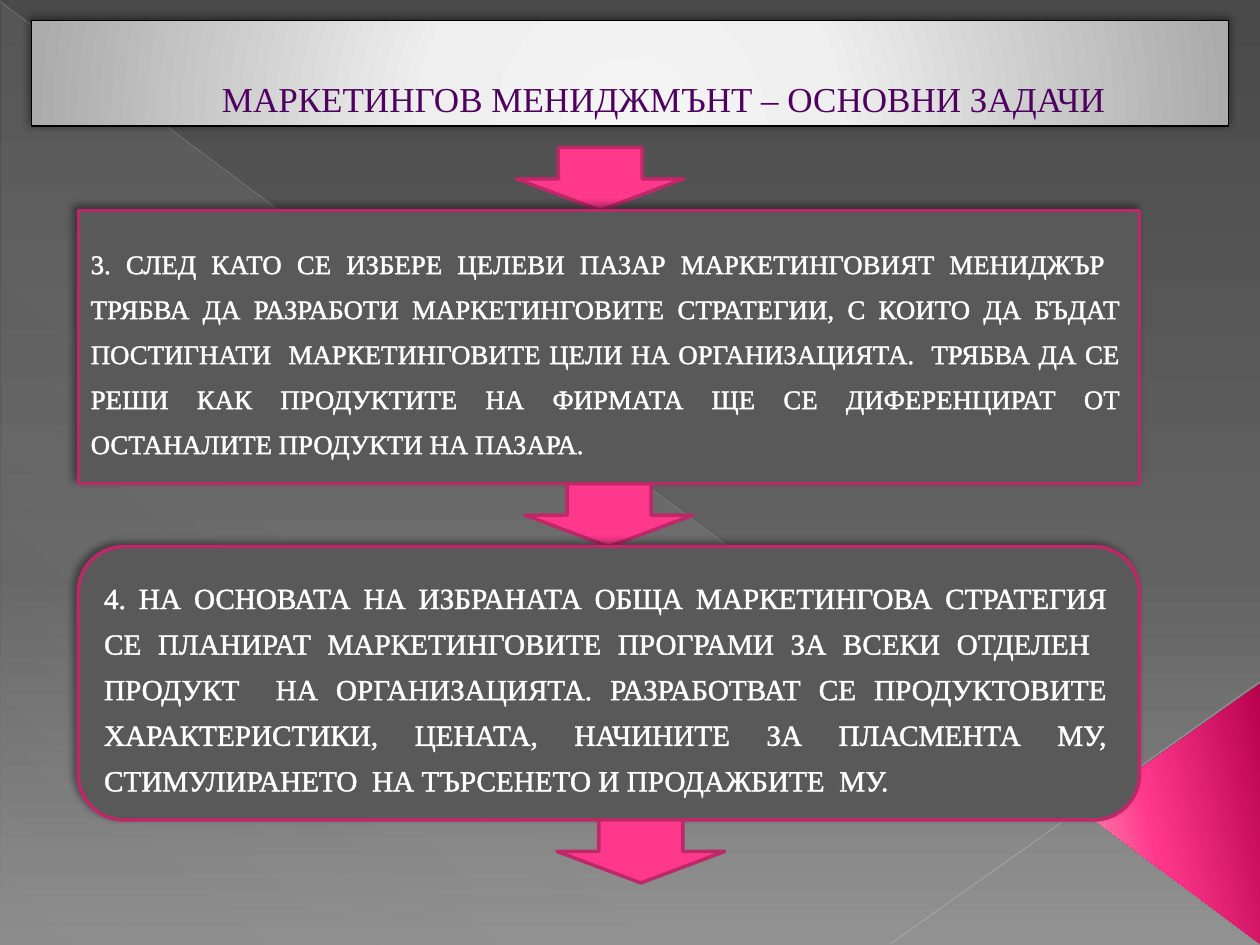
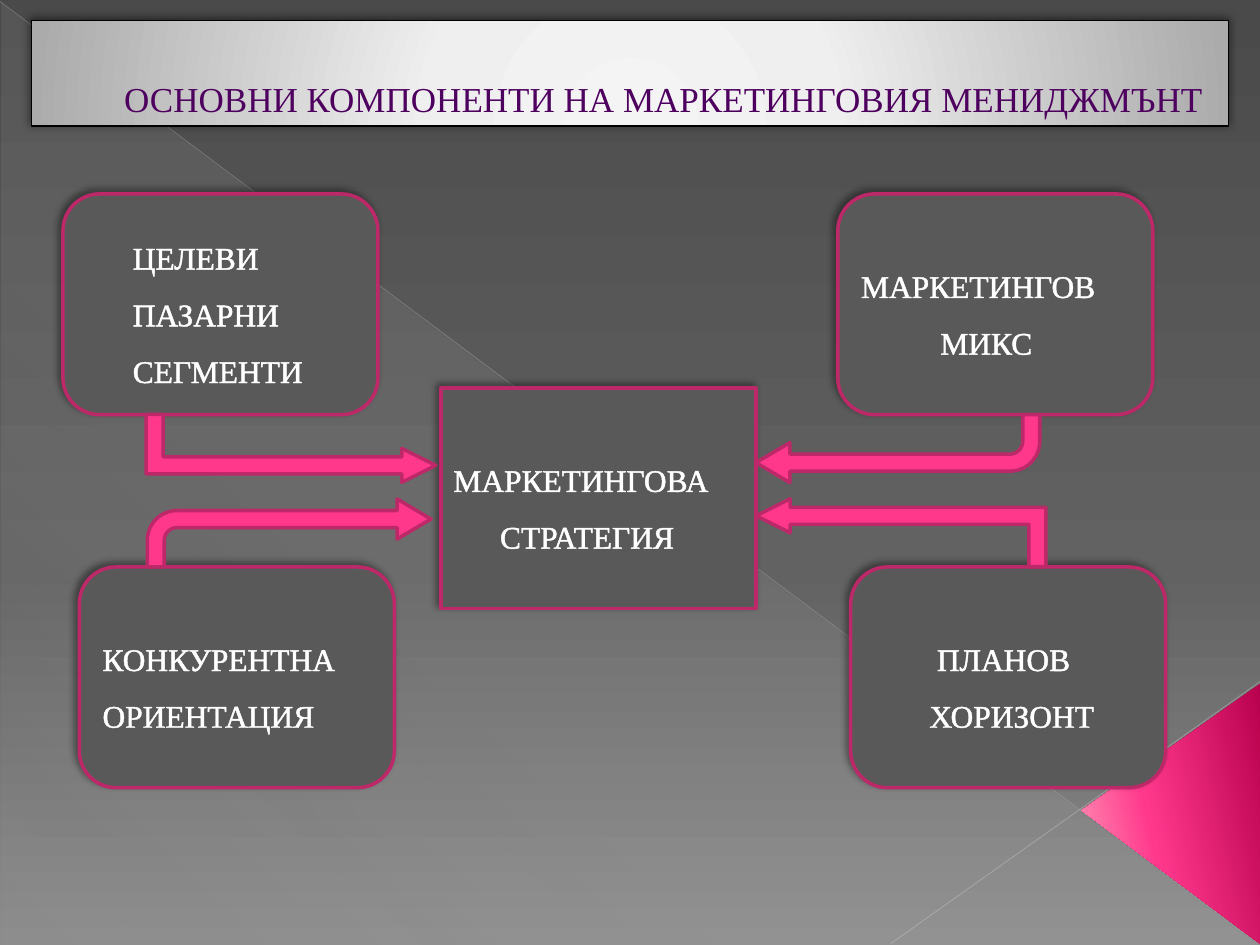
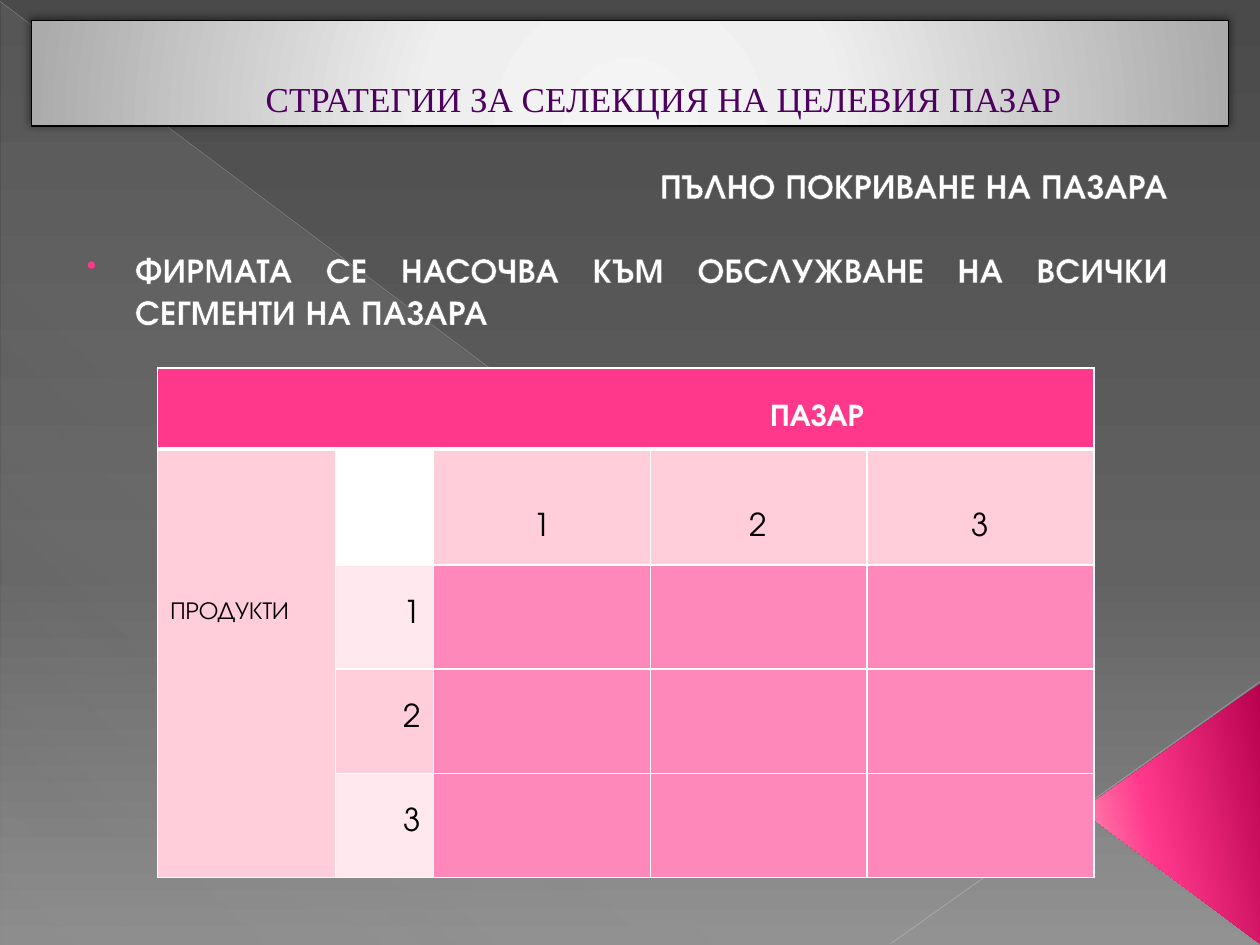
import pptx
import pptx.util
import pptx.dml.color
import pptx.enum.shapes
import pptx.enum.text
import pptx.oxml.ns
from lxml import etree

Cm = pptx.util.Cm
Pt = pptx.util.Pt
SHAPE = pptx.enum.shapes.MSO_SHAPE
ALIGN = pptx.enum.text.PP_ALIGN
ANCHOR = pptx.enum.text.MSO_ANCHOR
qn = pptx.oxml.ns.qn

COLORS = {
    "white": "FFFFFF", "black": "000000", "title": "4E005F", "title_edge": "4D4D4D",
    "subtitle_edge": "666666", "panel": "595959", "pink": "FF388C", "edge": "BD2968",
    "veil": "D2D2D2", "diagonal": "BFBFBF", "corner_line": "C6C6C6",
    "label": "FFCEDA", "pale": "FFE8EE", "covered": "FF88BA",
}
BACKGROUND = [(0, "4A4A4A", 100), (60, "626262", 100), (100, "8C8C8C", 100)]
VEIL = [(0, COLORS["veil"], 10), (70, COLORS["veil"], 8), (100, COLORS["veil"], 1)]
CORNER = [(0, "B8014E", 100), (60, "FF388C", 100), (100, "FF9CB9", 100)]
BAND = [(0, "F4F4F4", 100), (34, "EFEFEF", 100), (100, "ABABAB", 100)]

SERIF, SANS = "Times New Roman", "TeX Gyre Adventor"
TITLE_FONT = {"name": SERIF, "size": Pt(20), "bold": False}
SUBTITLE_FONT = {"name": SANS, "size": Pt(20), "bold": True}
TITLE_BAND = (0.64, 0.42, 24.13, 2.12)
TITLE_SHADOW = (50, 5, 2, 245)
PANEL_SHADOW = (40, 4, 3, 225)

TASKS_TITLE = "МАРКЕТИНГОВ МЕНИДЖМЪНТ – ОСНОВНИ ЗАДАЧИ"
TASKS = [
    ("3. СЛЕД КАТО СЕ ИЗБЕРЕ ЦЕЛЕВИ ПАЗАР МАРКЕТИНГОВИЯТ МЕНИДЖЪР  ТРЯБВА ДА РАЗРАБОТИ "
     "МАРКЕТИНГОВИТЕ СТРАТЕГИИ, С КОИТО ДА БЪДАТ ПОСТИГНАТИ  МАРКЕТИНГОВИТЕ ЦЕЛИ НА "
     "ОРГАНИЗАЦИЯТА.  ТРЯБВА ДА СЕ РЕШИ КАК ПРОДУКТИТЕ НА ФИРМАТА ЩЕ СЕ ДИФЕРЕНЦИРАТ ОТ "
     "ОСТАНАЛИТЕ ПРОДУКТИ НА ПАЗАРА.", SHAPE.RECTANGLE, 15.3, 1.4),
    ("4. НА ОСНОВАТА НА ИЗБРАНАТА ОБЩА МАРКЕТИНГОВА СТРАТЕГИЯ СЕ ПЛАНИРАТ МАРКЕТИНГОВИТЕ "
     "ПРОГРАМИ ЗА ВСЕКИ ОТДЕЛЕН  ПРОДУКТ  НА ОРГАНИЗАЦИЯТА. РАЗРАБОТВАТ СЕ ПРОДУКТОВИТЕ "
     "ХАРАКТЕРИСТИКИ, ЦЕНАТА, НАЧИНИТЕ ЗА ПЛАСМЕНТА МУ, СТИМУЛИРАНЕТО  НА ТЪРСЕНЕТО И "
     "ПРОДАЖБИТЕ  МУ.", SHAPE.ROUNDED_RECTANGLE, 16.7, 1.3),
]
TASK_ARROW_LEFTS = [10.41, 10.59, 11.23]

COMPONENTS_TITLE = "ОСНОВНИ КОМПОНЕНТИ НА МАРКЕТИНГОВИЯ МЕНИДЖМЪНТ"
COMPONENTS = [
    (SHAPE.RECTANGLE, 8.89, 7.82, [("МАРКЕТИНГОВА", 0), ("СТРАТЕГИЯ", 0.94)]),
    (SHAPE.ROUNDED_RECTANGLE, 1.27, 3.91, [("ЦЕЛЕВИ ПАЗАРНИ СЕГМЕНТИ", 0.94)]),
    (SHAPE.ROUNDED_RECTANGLE, 1.6, 11.43, [("КОНКУРЕНТНА", 0), ("ОРИЕНТАЦИЯ", 0)]),
    (SHAPE.ROUNDED_RECTANGLE, 16.89, 3.91, [("МАРКЕТИНГОВ", 0), ("МИКС", 1.6)]),
    (SHAPE.ROUNDED_RECTANGLE, 17.15, 11.43, [("ПЛАНОВ", 1.27), ("ХОРИЗОНТ", 1.12)]),
]
ROUND_BEND, SQUARE_BEND = (0.25, 0.295, 0.5, 0.438), (0.25, 0.25, 0.5)
STRATEGY_ARROWS = [
    (SHAPE.BENT_ARROW, (2.97, 10.06, 5.72, 1.37), 0, ROUND_BEND),
    (SHAPE.BENT_ARROW, (15.24, 8.36, 5.72, 1.37), 180, ROUND_BEND),
    (SHAPE.BENT_UP_ARROW, (5.18, 6.12, 1.37, 5.84), 90, SQUARE_BEND),
    (SHAPE.BENT_UP_ARROW, (17.48, 7.82, 1.37, 5.84), 270, SQUARE_BEND),
]

COVERAGE_TITLE = "СТРАТЕГИИ ЗА СЕЛЕКЦИЯ НА ЦЕЛЕВИЯ ПАЗАР"
COVERAGE_NAME = "ПЪЛНО ПОКРИВАНЕ НА ПАЗАРА"
COVERAGE_POINT = "ФИРМАТА СЕ НАСОЧВА КЪМ ОБСЛУЖВАНЕ НА ВСИЧКИ СЕГМЕНТИ НА ПАЗАРА"
MARKET, PRODUCTS = "ПАЗАР", "ПРОДУКТИ"
SEGMENTS = ["1", "2", "3"]
GRID_COLUMNS = [3.58, 1.98, 4.37, 4.37, 4.57]
GRID_ROWS = [1.63, 2.34, 2.1, 2.1, 2.1]


def rgb(key):
    return pptx.dml.color.RGBColor.from_string(COLORS[key])


def sub(parent, tag, **attributes):
    return etree.SubElement(parent, qn(tag), {k: str(v) for k, v in attributes.items()})


def place(box):
    return [Cm(length) for length in box]


def set_format(target, values):
    for name, value in values.items():
        setattr(target, name, value)


def set_gradient(fill, owner, stops, angle=None):
    fill.gradient()
    gradient = owner.find(".//" + qn("a:gradFill"))
    for child in list(gradient):
        gradient.remove(child)
    stop_list = sub(gradient, "a:gsLst")
    for position, color, alpha in stops:
        stop = sub(stop_list, "a:gs", pos=position * 1000)
        sub(sub(stop, "a:srgbClr", val=color), "a:alpha", val=alpha * 1000)
    if angle is None:
        center = sub(gradient, "a:path", path="circle")
        sub(center, "a:fillToRect", l=50000, t=155000, r=50000, b=-55000)
    else:
        sub(gradient, "a:lin", ang=angle * 60000, scaled=0)


def set_line(line, key, width):
    line.color.rgb = rgb(key)
    line.width = Pt(width)


def set_shadow(shape, alpha, blur, distance, angle):
    shape.shadow.inherit = False
    effects = shape.element.spPr.find(qn("a:effectLst"))
    outer = sub(effects, "a:outerShdw", blurRad=Pt(blur), dist=Pt(distance),
                dir=angle * 60000, algn="tl", rotWithShape=0)
    sub(sub(outer, "a:srgbClr", val=COLORS["black"]), "a:alpha", val=alpha * 1000)


def write(paragraph, text, font, color, edge=None, edge_width=0.75, margin=0, **layout):
    run = paragraph.add_run()
    run.text = text
    set_format(run.font, font)
    run.font.color.rgb = rgb(color)
    if edge:
        outline = etree.Element(qn("a:ln"), {"w": str(Pt(edge_width))})
        sub(sub(outline, "a:solidFill"), "a:srgbClr", val=COLORS[edge])
        run.font._element.insert(0, outline)
    if margin:
        paragraph._p.get_or_add_pPr().set("marL", str(Cm(margin)))
    set_format(paragraph, layout)


def add_paragraph(frame, index):
    return frame.add_paragraph() if index else frame.paragraphs[0]


def add_panel(slide, kind, box, lines, size, spacing):
    panel = slide.shapes.add_shape(kind, *place(box))
    panel.fill.solid()
    panel.fill.fore_color.rgb = rgb("panel")
    set_line(panel.line, "edge", 2)
    set_shadow(panel, *PANEL_SHADOW)
    frame = panel.text_frame
    set_format(frame, {"word_wrap": True, "vertical_anchor": ANCHOR.MIDDLE,
                       "margin_right": Cm(0.38)})
    font = {"name": SERIF, "size": Pt(size)}
    for index, (text, margin) in enumerate(lines):
        write(add_paragraph(frame, index), text, font, "white", "white", margin=margin,
              alignment=ALIGN.JUSTIFY, line_spacing=spacing)


def add_arrow(slide, kind, box, rotation=0, bends=()):
    arrow = slide.shapes.add_shape(kind, *place(box))
    arrow.rotation = rotation
    for index, bend in enumerate(bends):
        arrow.adjustments[index] = bend
    arrow.fill.solid()
    arrow.fill.fore_color.rgb = rgb("pink")
    set_line(arrow.line, "edge", 2)
    arrow.shadow.inherit = False


def decorate(layout, slide):
    set_gradient(layout.background.fill, layout.element, BACKGROUND, 90)

    def keep(shape):
        layout.shapes.element.append(shape.element)

    def add_facet(kind, box, stops, angle):
        facet = slide.shapes.add_shape(kind, *place(box))
        set_gradient(facet.fill, facet.element, stops, angle)
        facet.line.fill.background()
        facet.shadow.inherit = False
        keep(facet)
        return facet

    add_facet(SHAPE.RIGHT_TRIANGLE, (0.03, 0.05, 25.35, 19), VEIL, 133)
    for ends, key, width, alpha in [
        ((0, 0.03, 25.37, 19.02), "diagonal", 0.39, 35),
        ((25.4, 13.74, 17.96, 19.02), "corner_line", 0.47, 45),
    ]:
        ray = slide.shapes.add_connector(pptx.enum.shapes.MSO_CONNECTOR.STRAIGHT, *place(ends))
        set_line(ray.line, key, width)
        sub(ray.element.spPr.find(".//" + qn("a:srgbClr")), "a:alpha", val=alpha * 1000)
        sub(ray.element.spPr, "a:effectLst")
        keep(ray)
    corner = add_facet(SHAPE.ISOSCELES_TRIANGLE, (20.98, 14.6, 5.26, 3.61), CORNER, 258)
    corner.rotation = 270
    corner.adjustments[0] = 0.513


def add_title(slide, text):
    title = slide.shapes.title
    set_format(title, dict(zip(("left", "top", "width", "height"), place(TITLE_BAND))))
    set_gradient(title.fill, title.element, BAND)
    set_line(title.line, "black", 0.75)
    set_shadow(title, *TITLE_SHADOW)
    set_format(title.text_frame, {"vertical_anchor": ANCHOR.BOTTOM, "word_wrap": True,
                                  "auto_size": pptx.enum.text.MSO_AUTO_SIZE.NONE})
    write(title.text_frame.paragraphs[0], text, TITLE_FONT, "title", "title_edge", 0.5,
          margin=1.35, alignment=ALIGN.CENTER)


def build_tasks(slide):
    left, width, height = 1.58, 21.39, 5.51
    arrow_width, arrow_height = 3.38, 1.27
    top = 2.97
    for index, arrow_left in enumerate(TASK_ARROW_LEFTS):
        add_arrow(slide, SHAPE.DOWN_ARROW, (arrow_left, top, arrow_width, arrow_height))
        top += arrow_height
        if index < len(TASKS):
            text, kind, size, spacing = TASKS[index]
            add_panel(slide, kind, (left, top, width, height), [(text, 0)], size, spacing)
            top += height


def build_components(slide):
    for kind, left, top, lines in COMPONENTS:
        add_panel(slide, kind, (left, top, 6.35, 4.45), lines, 18, 1.5)
    for arrow in STRATEGY_ARROWS:
        add_arrow(slide, *arrow)


def add_bullet(paragraph):
    properties = paragraph._p.get_or_add_pPr()
    properties.set("indent", str(Cm(-0.97)))
    sub(sub(properties, "a:buClr"), "a:srgbClr", val=COLORS["pink"])
    sub(properties, "a:buSzPct", val=80000)
    sub(properties, "a:buChar", char="•")


def set_borders(cell, bottom_width):
    properties = cell._tc.get_or_add_tcPr()
    widths = {"a:lnL": 1, "a:lnR": 1, "a:lnT": 1, "a:lnB": bottom_width}
    for index, (tag, width) in enumerate(widths.items()):
        border = etree.Element(qn(tag), {"w": str(Pt(width))})
        sub(sub(border, "a:solidFill"), "a:srgbClr", val=COLORS["white"])
        properties.insert(index, border)


def cell_color(row, column):
    if row == 0:
        return "pink"
    if column == 0:
        return "label"
    if row == 1:
        return "white" if column == 1 else "label"
    if column == 1:
        return "label" if row % 2 else "pale"
    return "covered"


def build_coverage(slide):
    frame = slide.shapes.add_textbox(*place((1.5, 3.18, 22.4, 4))).text_frame
    set_format(frame, {"word_wrap": True, "margin_right": Cm(0.36)})
    write(frame.paragraphs[0], COVERAGE_NAME, SUBTITLE_FONT, "white", "subtitle_edge",
          alignment=ALIGN.RIGHT)
    point = frame.add_paragraph()
    add_bullet(point)
    write(point, COVERAGE_POINT, SUBTITLE_FONT, "white", "subtitle_edge", margin=0.97,
          alignment=ALIGN.JUSTIFY, space_before=Pt(24))

    box = (3.18, 7.42, sum(GRID_COLUMNS), sum(GRID_ROWS))
    grid = slide.shapes.add_table(len(GRID_ROWS), len(GRID_COLUMNS), *place(box)).table
    set_format(grid, {"first_row": False, "horz_banding": False})
    for column, width in zip(grid.columns, GRID_COLUMNS):
        column.width = Cm(width)
    for row, height in zip(grid.rows, GRID_ROWS):
        row.height = Cm(height)
    for row in range(len(GRID_ROWS)):
        for column in range(len(GRID_COLUMNS)):
            cell = grid.cell(row, column)
            cell.fill.solid()
            cell.fill.fore_color.rgb = rgb(cell_color(row, column))
            set_borders(cell, 1 if row else 3)
    grid.cell(0, 0).merge(grid.cell(0, len(GRID_COLUMNS) - 1))
    grid.cell(1, 0).merge(grid.cell(len(GRID_ROWS) - 1, 0))

    labels = [(0, 0, MARKET, 18, ALIGN.LEFT, 0.7, 12.09),
              (1, 0, PRODUCTS, 14, ALIGN.LEFT, 3.07, 0)]
    for index, segment in enumerate(SEGMENTS, 2):
        labels.append((1, index, segment, 18, ALIGN.CENTER, 1.29, 0))
        labels.append((index, 1, segment, 18, ALIGN.RIGHT, 0.7, 0))
    for row, column, text, size, alignment, top, margin in labels:
        cell = grid.cell(row, column)
        cell.margin_top = Cm(top)
        font = {"name": SANS, "size": Pt(size), "bold": row == 0}
        write(cell.text_frame.paragraphs[0], text, font, "black" if row else "white",
              margin=margin, alignment=alignment)


def main():
    deck = pptx.Presentation()
    set_format(deck, {"slide_width": Cm(25.4), "slide_height": Cm(19.05)})
    layout = deck.slide_layouts.get_by_name("Title Only")
    pages = [(TASKS_TITLE, build_tasks), (COMPONENTS_TITLE, build_components),
             (COVERAGE_TITLE, build_coverage)]
    for index, (title, build) in enumerate(pages):
        slide = deck.slides.add_slide(layout)
        if index == 0:
            decorate(layout, slide)
        add_title(slide, title)
        build(slide)
    deck.save("out.pptx")


if __name__ == "__main__":
    main()
